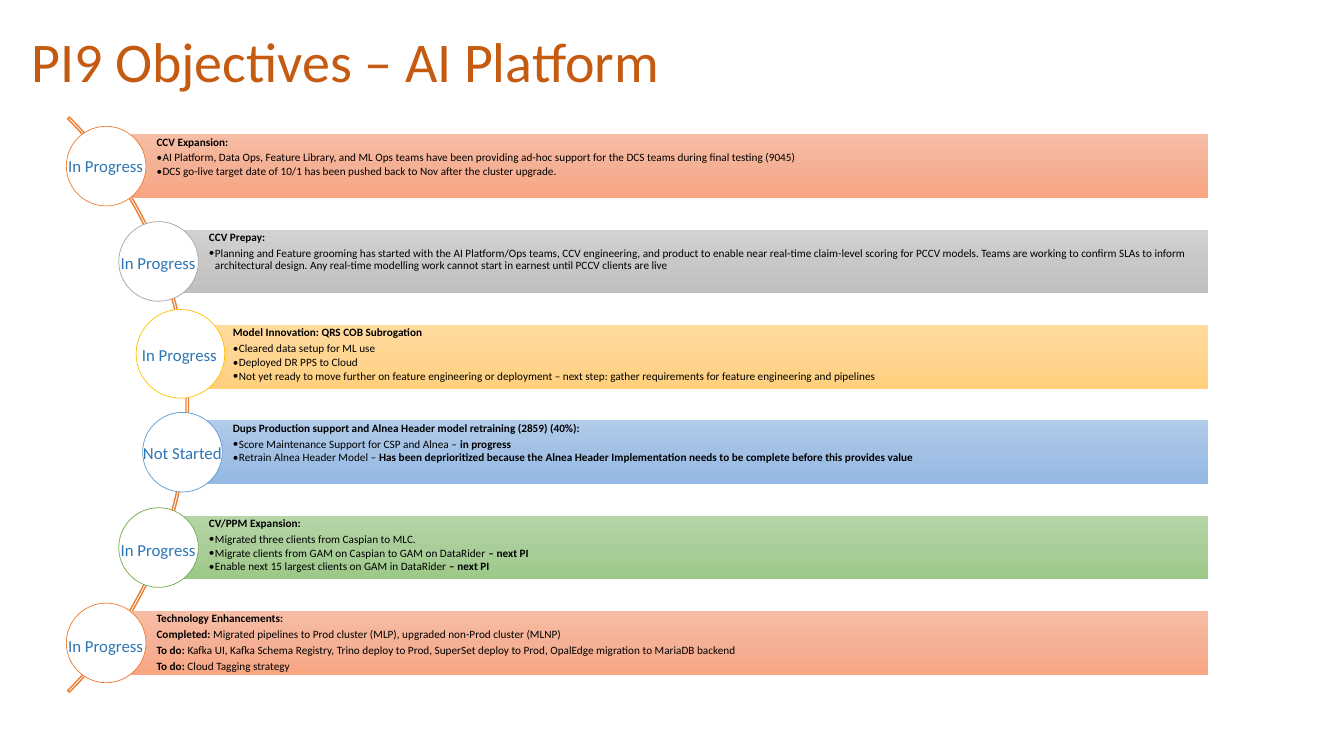
from copy import deepcopy
from dataclasses import dataclass

from lxml.etree import SubElement
from pptx import Presentation
from pptx.dml.color import RGBColor as Rgb
from pptx.enum.shapes import MSO_SHAPE as Kind
from pptx.enum.text import MSO_ANCHOR as Anchor, MSO_AUTO_SIZE as Auto, PP_ALIGN as Align
from pptx.oxml.ns import qn
from pptx.util import Inches, Pt

CELL = 0.1
COLS, ROWS = 133.33, 75
BAR_TOP, BAR_STEP, BAR_TALL, BAR_END = 13.33, 9.46, 6.3, 119.85
ARC_BOX = (-62, -0.2, 80.7, 80.7)
ARC_TURNS = (189, 27, 0.003)


@dataclass(frozen=True)
class Theme:
    font: str = "Calibri"
    title: str = "C55A11"
    body: str = "000000"
    label: str = "2E75B6"
    arc: str = "ED7D31"
    disc: str = "FFFFFF"
    title_size: float = 40
    body_size: float = 8
    label_size: float = 12


@dataclass(frozen=True)
class Tint:
    line: str
    stops: tuple[str, str, str]


@dataclass(frozen=True)
class Goal:
    left: float
    tint: Tint
    head: str
    items: tuple[str, ...]
    state: str = "In Progress"
    tag_x: float = -4.75
    tag_y: float = 1.8
    disc: float = 7.9
    shift: tuple[float, float] = (0, 0)
    dots: bool = True


THEME = Theme()
ORANGE = Tint("ED7D31", ("F7BDA5", "F5B196", "F8A582"))
GREY = Tint("A5A5A5", ("D2D2D2", "C8C8C8", "C0C0C0"))
GOLD = Tint("FFC000", ("FFDB9E", "FFD590", "FFD07C"))
BLUE = Tint("5B9BD5", ("B1CBE9", "A3C1E5", "93B9E4"))
GREEN = Tint("70AD47", ("B5D5A7", "AACE9A", "9CC987"))

GOALS = (
    Goal(10.53, ORANGE, "CCV Expansion:", (
        "AI Platform, Data Ops, Feature Library, and ML Ops teams have been providing ad-hoc "
        "support for the DCS teams during final testing (9045)",
        "DCS go-live target date of 10/1 has been pushed back to Nov after the cluster upgrade.",
    ), tag_y=1.6),
    Goal(15.73, GREY, "CCV Prepay:", (
        "Planning and Feature grooming has started with the AI Platform/Ops teams, CCV engineering, "
        "and product to enable near real-time claim-level scoring for PCCV models. Teams are working "
        "to confirm SLAs to inform architectural design. Any real-time modelling work cannot start "
        "in earnest until PCCV clients are live",
    )),
    Goal(18.1, GOLD, "Model Innovation: QRS COB Subrogation", (
        "Cleared data setup for ML use",
        "Deployed DR PPS to Cloud",
        "Not yet ready to move further on feature engineering or deployment – next step: gather "
        "requirements for feature engineering and pipelines",
    ), tag_x=-5, tag_y=1.5, disc=8.8, shift=(-0.2, -0.3)),
    Goal(18.1, BLUE, "Dups Production support and Alnea Header model retraining (2859) (40%):", (
        "Score Maintenance Support for CSP and Alnea – *in progress*",
        "Retrain Alnea Header Model – *Has been deprioritized because the Alnea Header "
        "Implementation needs to be complete before this provides value*",
    ), state="Not Started", tag_x=-4.9, tag_y=1.7),
    Goal(15.73, GREEN, "CV/PPM Expansion:", (
        "Migrated three clients from Caspian to MLC.",
        "Migrate clients from GAM on Caspian to GAM on DataRider *– next PI*",
        "Enable next 15 largest clients on GAM in DataRider *– next PI*",
    ), tag_y=1.85),
    Goal(10.53, ORANGE, "Technology Enhancements:", (
        "*Completed: *Migrated pipelines to Prod cluster (MLP), upgraded non-Prod cluster (MLNP)",
        "*To do: *Kafka UI, Kafka Schema Registry, Trino deploy to Prod, SuperSet deploy to Prod, "
        "OpalEdge migration to MariaDB backend",
        "*To do:* Cloud Tagging strategy",
    ), tag_y=1.9, dots=False),
)


def grid(*cells: float) -> list[int]:
    return [Inches(n * CELL) for n in cells]


def write(frame, text: str, *, size: float, color: str, first: bool = True,
          dot: bool = False, after: float = 0, pitch: float = 1.0) -> None:
    para = frame.paragraphs[0] if first else frame.add_paragraph()
    if dot:
        props = para._p.get_or_add_pPr()
        props.set("marL", str(Inches(0.06)))
        props.set("indent", str(-Inches(0.06)))
        SubElement(props, qn("a:buFont")).set("typeface", THEME.font)
        SubElement(props, qn("a:buChar")).set("char", "•")
    para.font.size = Pt(size)
    para.alignment = Align.LEFT
    para.line_spacing = pitch
    para.space_after = Pt(after)
    for spot, part in enumerate(text.split("*")):
        if part:
            run = para.add_run()
            run.text = part
            font = run.font
            font.name, font.size, font.bold = THEME.font, Pt(size), spot % 2 == 1
            font.color.rgb = Rgb.from_string(color)


def add_form(shapes, kind: Kind, box: tuple[float, ...], line: str = "", width: float = 1):
    form = shapes.add_shape(kind, *grid(*box))
    form.shadow.inherit = False
    form.fill.background()
    if line:
        form.line.color.rgb = Rgb.from_string(line)
        form.line.width = Pt(width)
    else:
        form.line.fill.background()
    return form


def draw_arc(shapes) -> None:
    arc = add_form(shapes, Kind.BLOCK_ARC, ARC_BOX, THEME.arc)
    for spot, turn in enumerate(ARC_TURNS):
        arc.adjustments[spot] = turn


def draw_bar(shapes, goal: Goal, top: float) -> None:
    box = (goal.left, top, BAR_END - goal.left, BAR_TALL)
    bar = add_form(shapes, Kind.RECTANGLE, box)
    bar.fill.gradient()
    bar.fill.gradient_angle = 270
    stops = next(bar.element.iter(qn("a:gsLst")))
    stops.insert(1, deepcopy(stops[0]))
    for spot, (stop, tone) in enumerate(zip(bar.fill.gradient_stops, goal.tint.stops)):
        stop.position = spot / 2
        stop.color.rgb = Rgb.from_string(tone)
    frame = shapes.add_textbox(*grid(*box)).text_frame
    frame.word_wrap = True
    frame.vertical_anchor = Anchor.TOP if goal.dots else Anchor.MIDDLE
    frame.margin_left = Inches(0.5)
    frame.margin_top = frame.margin_right = frame.margin_bottom = Inches(0.02)
    style = dict(size=THEME.body_size, color=THEME.body, pitch=0.9)
    write(frame, f"*{goal.head}*", after=2.8, **style)
    for item in goal.items:
        write(frame, item, first=False, dot=goal.dots, after=1.2 if goal.dots else 2.8, **style)


def draw_disc(shapes, goal: Goal, top: float) -> None:
    left = goal.left + goal.shift[0] - goal.disc / 2
    rise = top + goal.shift[1] + (BAR_TALL - goal.disc) / 2
    disc = add_form(shapes, Kind.OVAL, (left, rise, goal.disc, goal.disc), goal.tint.line, 0.5)
    disc.fill.solid()
    disc.fill.fore_color.rgb = Rgb.from_string(THEME.disc)


def draw_tag(shapes, goal: Goal, top: float) -> None:
    box = shapes.add_textbox(*grid(goal.left + goal.tag_x, top + goal.tag_y, 12.2, 3))
    box.text_frame.word_wrap = True
    write(box.text_frame, goal.state, size=THEME.label_size, color=THEME.label)


def main() -> None:
    deck = Presentation()
    deck.slide_width, deck.slide_height = grid(COLS, ROWS)
    slide = deck.slides.add_slide(deck.slide_layouts[5])
    shapes = slide.shapes
    title = shapes.title
    title.left, title.top, title.width, title.height = grid(2.1, 0.65, 115, 11.5)
    title.text_frame.auto_size = Auto.NONE
    title.text_frame.vertical_anchor = Anchor.MIDDLE
    write(title.text_frame, "PI9 Objectives – AI Platform",
          size=THEME.title_size, color=THEME.title, pitch=0.9)
    draw_arc(shapes)
    tops = [BAR_TOP + BAR_STEP * spot for spot in range(len(GOALS))]
    for draw in (draw_bar, draw_disc, draw_tag):
        for goal, top in zip(GOALS, tops):
            draw(shapes, goal, top)
    deck.save("out.pptx")


if __name__ == "__main__":
    main()
